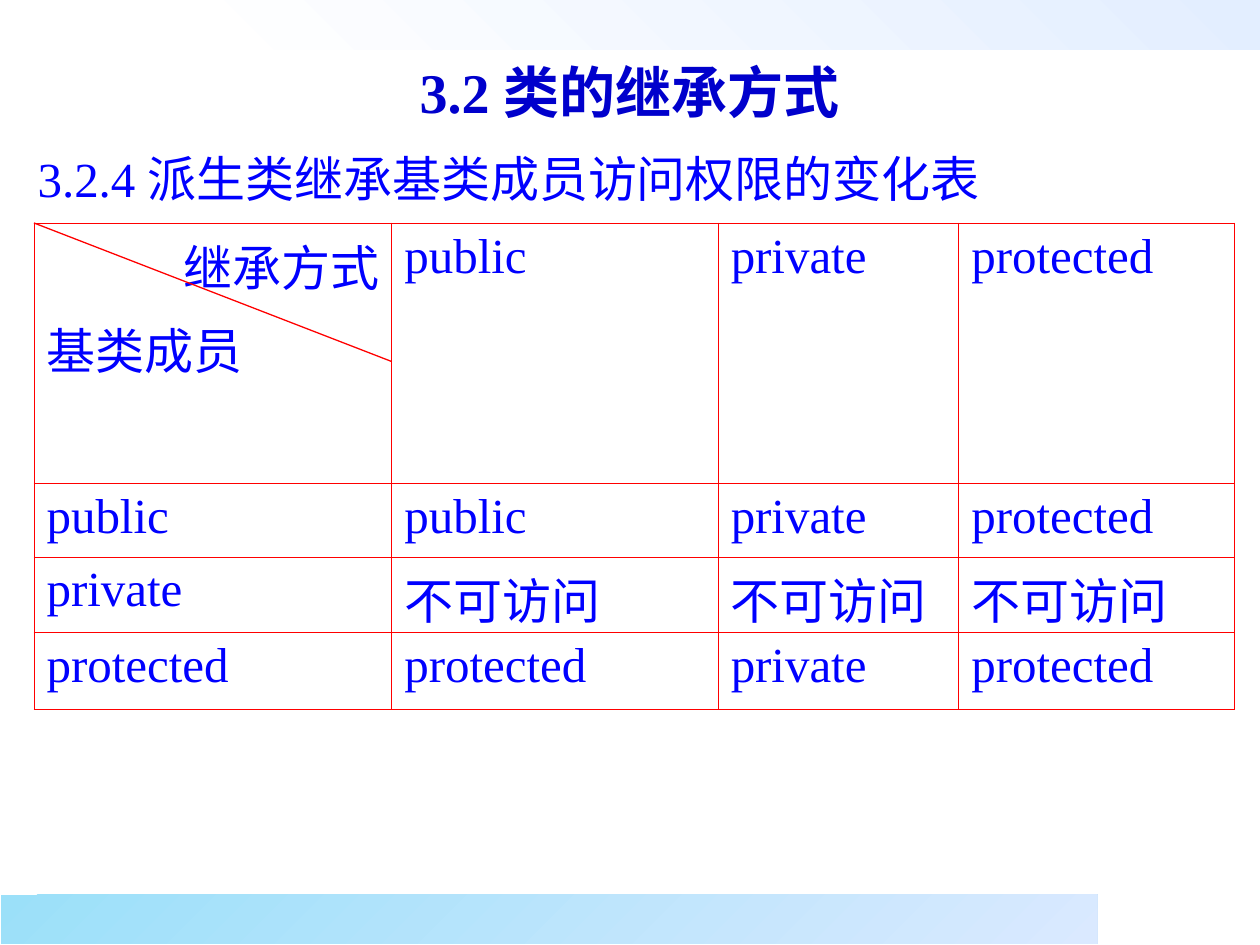
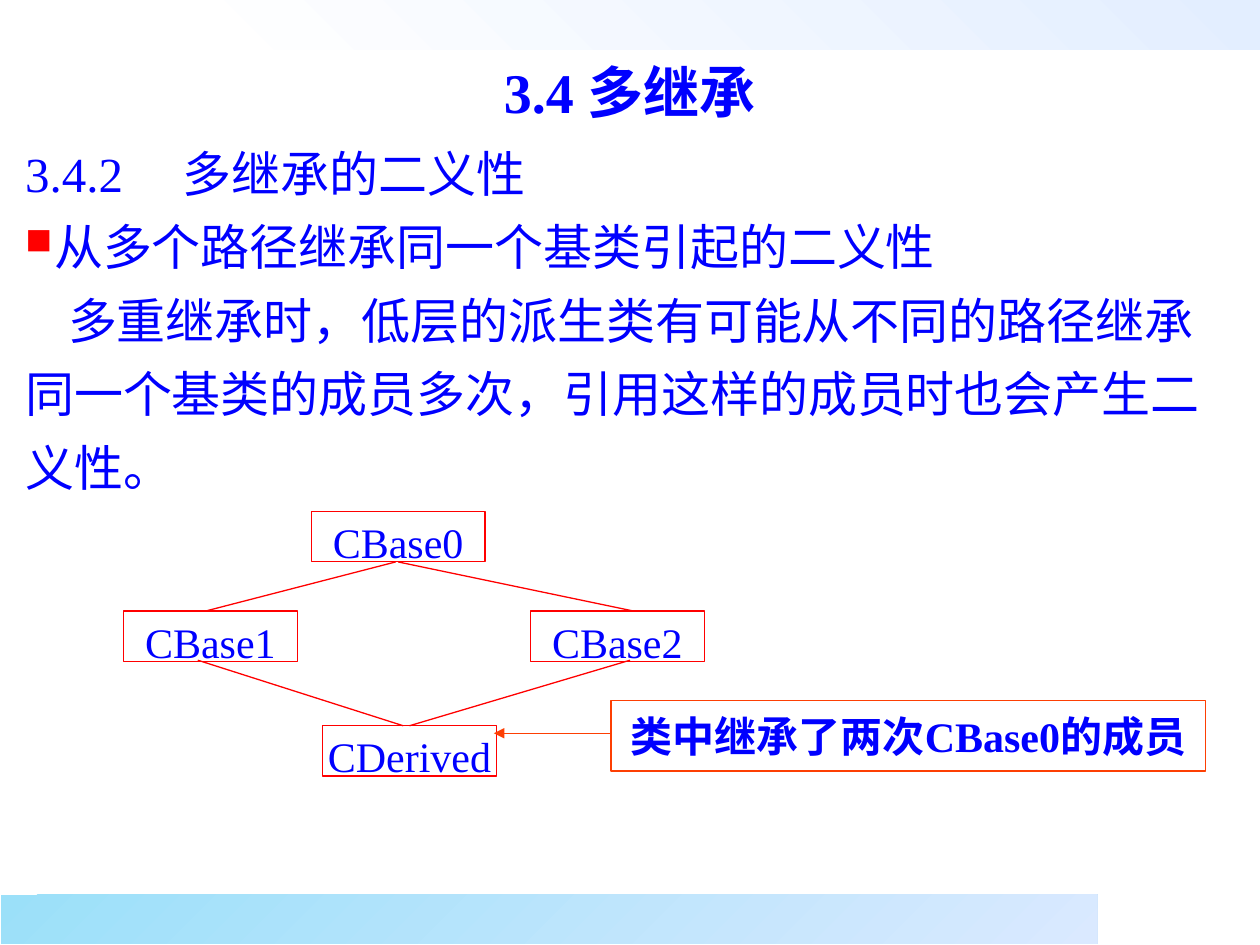
from dataclasses import dataclass
from lxml.etree import SubElement as Sub
from pptx import Presentation
from pptx.dml.color import RGBColor as RGB
from pptx.enum.lang import MSO_LANGUAGE_ID as Lang
from pptx.enum.shapes import MSO_CONNECTOR as Conn, MSO_SHAPE as Shape
from pptx.enum.text import MSO_ANCHOR as Anchor, PP_ALIGN as Align
from pptx.oxml.ns import qn
from pptx.util import Inches, Pt


@dataclass(frozen=True)
class Theme:
    latin: str = "Times New Roman"
    asian: str = "Noto Sans CJK SC"
    ink: str = "0000FF"
    navy: str = "0000CC"
    red: str = "FF0000"
    flame: str = "FD3F03"
    head: int = 32
    body: int = 28
    label: int = 24
    line: float = 0.75
    grid: float = 0.45


T = Theme()

# left, top, width, height, start colour, end colour, angle
BANDS = [
    (1.54, 0, 8.46, 0.39, "FFFFFF", "E3EEFF", 45),
    (0.01, 7.1, 8.7, 0.39, "9BE0F9", "DAE9FF", 315),
]
TITLE_BOX = (0, 0.4, 10, 0.64)

ACCESS_TITLE = "3.2 类的继承方式"
ACCESS_HEAD = "3.2.4 派生类继承基类成员访问权限的变化表"
CORNER = ("继承方式", "基类成员")
DENIED = "不可访问"
ACCESS = [
    ["", "public", "private", "protected"],
    ["public", "public", "private", "protected"],
    ["private", DENIED, DENIED, DENIED],
    ["protected", "protected", "private", "protected"],
]
COLS = [2.84, 2.59, 1.91, 2.19]
ROWS = [2.07, 0.58, 0.6, 0.61]
GRID_AT = (0.27, 1.77)
SLASH = (0.27, 1.77, 3.11, 2.87)

MULTI_TITLE = "3.4 多继承"
MULTI_TEXT = [
    "3.4.2\t多继承的二义性",
    "从多个路径继承同一个基类引起的二义性",
    "多重继承时，低层的派生类有可能从不同的路径继承同一个基类的成员多次，"
    "引用这样的成员时也会产生二义性。",
]
NODE_SIZE = (1.38, 0.4)
NODES = [
    ("CBase0", 2.47, 4.06),
    ("CBase1", 0.98, 4.85),
    ("CBase2", 4.21, 4.85),
    ("CDerived", 2.56, 5.76),
]
LINKS = [
    (3.14, 4.46, 1.63, 4.85),
    (3.16, 4.46, 5.03, 4.85),
    (1.57, 5.24, 3.2, 5.76),
    (5, 5.24, 3.25, 5.76),
]
NOTE = "类中继承了两次CBase0的成员"
NOTE_BOX = (4.85, 5.56, 4.72, 0.56)
ARROW = (4.85, 5.82, 3.92, 5.82)


def rgb(code):
    return RGB.from_string(code)


def inch(vals):
    return [Inches(v) for v in vals]


def style(para, size, color=T.ink, bold=False):
    font = para.font
    font.size, font.bold, font.name = Pt(size), bold, T.latin
    font.color.rgb = rgb(color)
    font.language_id = Lang.SIMPLIFIED_CHINESE
    base = para._p.pPr.find(qn("a:defRPr"))
    Sub(base, qn("a:ea"), typeface=T.asian)


def pad(frame, left=0, top=0, right=0, bottom=0):
    (frame.margin_left, frame.margin_top,
     frame.margin_right, frame.margin_bottom) = inch((left, top, right, bottom))


def indent(para, first, left=0):
    props = para._p.get_or_add_pPr()
    props.set("marL", str(Inches(left)))
    props.set("indent", str(Inches(first)))
    return props


def bullet(para, gap):
    props = indent(para, -gap, gap)
    Sub(Sub(props, qn("a:buClr")), qn("a:srgbClr"), val=T.red)
    Sub(props, qn("a:buSzPct"), val="75000")
    Sub(props, qn("a:buChar"), char="■")


def tab(para, pos):
    stops = Sub(para._p.get_or_add_pPr(), qn("a:tabLst"))
    Sub(stops, qn("a:tab"), pos=str(Inches(pos)), algn="l")


def start(deck, text, color):
    """Add a slide with its bands and title."""
    slide = deck.slides.add_slide(deck.slide_layouts[5])
    for *box, left, right, angle in BANDS:
        band = slide.shapes.add_shape(Shape.RECTANGLE, *inch(box))
        band.shadow.inherit = False
        band.line.fill.background()
        band.fill.gradient()
        band.fill.gradient_angle = angle
        for stop, code, pos in zip(band.fill.gradient_stops, (left, right), (0, 1)):
            stop.color.rgb, stop.position = rgb(code), pos
    title = slide.shapes.title
    title.left, title.top, title.width, title.height = inch(TITLE_BOX)
    frame = title.text_frame
    frame.text, frame.vertical_anchor = text, Anchor.MIDDLE
    para = frame.paragraphs[0]
    para.alignment = Align.CENTER
    style(para, T.head, color, True)
    return slide


def text_box(slide, box):
    frame = slide.shapes.add_textbox(*inch(box)).text_frame
    frame.word_wrap = True
    return frame


def link(slide, ends, color=T.red, arrow=False):
    line = slide.shapes.add_connector(Conn.STRAIGHT, *inch(ends))
    line.line.color.rgb, line.line.width = rgb(color), Pt(T.line)
    if arrow:
        Sub(line.line._get_or_add_ln(), qn("a:tailEnd"), type="triangle")
    Sub(line._element.spPr, qn("a:effectLst"))


def label(slide, text, box, color=T.red, bold=False, top=0):
    """Add an outlined box with one centred line of text."""
    shape = slide.shapes.add_shape(Shape.RECTANGLE, *inch(box))
    shape.shadow.inherit = False
    shape.fill.background()
    shape.line.color.rgb, shape.line.width = rgb(color), Pt(T.line)
    frame = shape.text_frame
    pad(frame, top=top)
    frame.word_wrap, frame.vertical_anchor = False, Anchor.MIDDLE
    frame.text = text
    para = frame.paragraphs[0]
    para.alignment = Align.CENTER
    style(para, T.label, bold=bold)


def rule(cell):
    """Draw all four borders of a table cell."""
    props = cell._tc.get_or_add_tcPr()
    for side in ("lnL", "lnR", "lnT", "lnB"):
        edge = Sub(props, qn(f"a:{side}"), w=str(Pt(T.grid)))
        Sub(Sub(edge, qn("a:solidFill")), qn("a:srgbClr"), val=T.red)
    cell.fill.background()


def access_grid(slide):
    size = (sum(COLS), sum(ROWS))
    grid = slide.shapes.add_table(
        len(ROWS), len(COLS), *inch(GRID_AT + size)).table
    grid.first_row = grid.horz_banding = False
    for col, width in zip(grid.columns, COLS):
        col.width = Inches(width)
    for row, height, words in zip(grid.rows, ROWS, ACCESS):
        row.height = Inches(height)
        for cell, word in zip(row.cells, words):
            cell.text = word or "\n".join(CORNER)
            pad(cell, 0.1, 0.05, 0.1)
            rule(cell)
            for para in cell.text_frame.paragraphs:
                style(para, T.body)
    way, member = grid.cell(0, 0).text_frame.paragraphs
    way.alignment = Align.RIGHT
    member.space_before = Pt(7)


def access_slide(deck):
    slide = start(deck, ACCESS_TITLE, T.navy)
    frame = text_box(slide, (0.2, 1.11, 9.61, 0.59))
    frame.text = ACCESS_HEAD
    para = frame.paragraphs[0]
    para.line_spacing = 1.05
    style(para, T.body)
    access_grid(slide)
    link(slide, SLASH)


def multi_slide(deck):
    slide = start(deck, MULTI_TITLE, T.ink)
    frame = text_box(slide, (0.2, 1.02, 9.61, 2.92))
    pad(frame)
    frame.text = "\n".join(MULTI_TEXT)
    head, point, body = frame.paragraphs
    tab(head, 1.25)
    bullet(point, 0.23)
    indent(body, 0.34)
    for para in frame.paragraphs:
        para.line_spacing = 1.25
        style(para, T.body)
    for name, left, top in NODES:
        label(slide, name, (left, top, *NODE_SIZE), top=0.08)
    for ends in LINKS:
        link(slide, ends)
    label(slide, NOTE, NOTE_BOX, T.flame, bold=True)
    link(slide, ARROW, T.flame, arrow=True)


def main():
    deck = Presentation()
    deck.slide_width, deck.slide_height = inch((10, 7.5))
    access_slide(deck)
    multi_slide(deck)
    deck.save("out.pptx")


if __name__ == "__main__":
    main()
